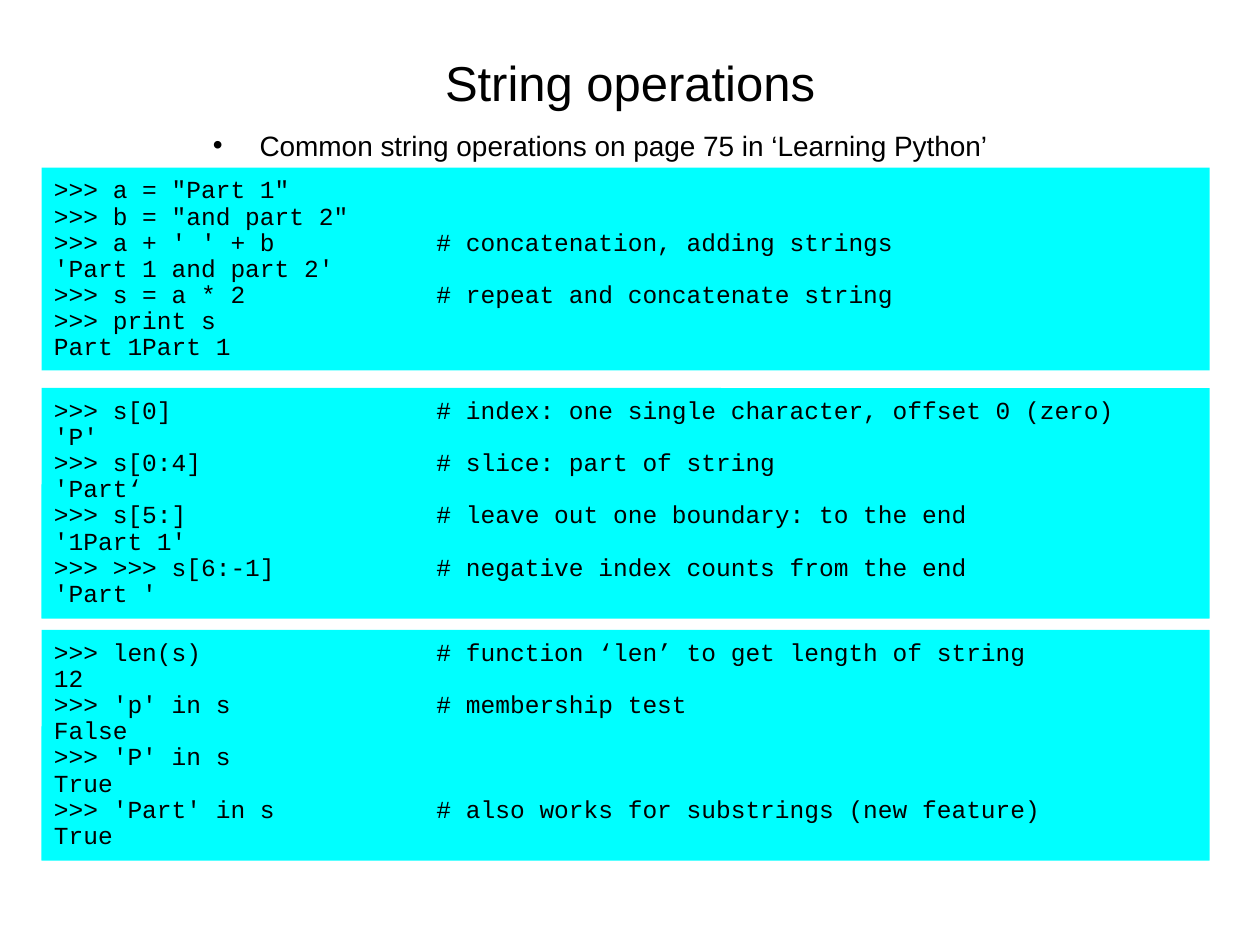
from pptx import Presentation
from pptx.dml.color import RGBColor
from pptx.enum.shapes import MSO_SHAPE as Shape
from pptx.enum.text import MSO_ANCHOR as Anchor, MSO_AUTO_SIZE as Fit, PP_ALIGN as Align
from pptx.util import Inches, Pt

JOIN = """>>> a = "Part 1"
>>> b = "and part 2"
>>> a + ' ' + b           # concatenation, adding strings
'Part 1 and part 2'
>>> s = a * 2             # repeat and concatenate string
>>> print s
Part 1Part 1"""

SLICE = """>>> s[0]                  # index: one single character, offset 0 (zero)
'P'
>>> s[0:4]                # slice: part of string
'Part‘
>>> s[5:]                 # leave out one boundary: to the end
'1Part 1'
>>> >>> s[6:-1]           # negative index counts from the end
'Part '"""

TEST = """>>> len(s)                # function ‘len’ to get length of string
12
>>> 'p' in s              # membership test
False
>>> 'P' in s
True
>>> 'Part' in s           # also works for substrings (new feature)
True"""


def color(code):
    return RGBColor.from_string(code)


class Deck:
    sans, mono = "Arial", "Courier New"
    ink, cyan = "000000", "00FFFF"

    def __init__(self):
        self.file = Presentation()
        self.file.slide_width, self.file.slide_height = Inches(10), Inches(7.5)
        self.slide = self.file.slides.add_slide(self.file.slide_layouts[1])

    def place(self, shape, left, top, width, height):
        shape.left, shape.top = Inches(left), Inches(top)
        shape.width, shape.height = Inches(width), Inches(height)

    def label(self, shape, text, font, size, line, align, side=0, top=0):
        frame = shape.text_frame
        frame.text = text
        frame.word_wrap = True
        frame.auto_size = Fit.NONE
        frame.vertical_anchor = Anchor.TOP
        frame.margin_left = frame.margin_right = Inches(side)
        frame.margin_top, frame.margin_bottom = Inches(top), 0
        for para in frame.paragraphs:
            para.alignment = align
            para.line_spacing = line
            para.space_before = Pt(0)
            for run in para.runs:
                run.font.name = font
                run.font.size = Pt(size)
                run.font.color.rgb = color(self.ink)

    def title(self, text):
        shape = self.slide.shapes.title
        self.place(shape, 0.75, 0.36, 8.5, 0.5)
        self.label(shape, text, self.sans, 28, 1.04, Align.CENTER, top=0.04)

    def bullet(self, text):
        shape = self.slide.placeholders[1]
        self.place(shape, 1.69, 0.99, 6.69, 0.39)
        self.label(shape, text, self.sans, 16, 1.04, Align.LEFT, top=0.02)
        props = shape.text_frame.paragraphs[0]._p.get_or_add_pPr()
        props.set("marL", str(Inches(0.37)))
        props.set("indent", str(-Inches(0.37)))

    def code(self, text, top, height):
        shape = self.slide.shapes.add_shape(
            Shape.ROUNDED_RECTANGLE, Inches(0.33), Inches(top), Inches(9.27), Inches(height))
        shape.adjustments[0] = 0.001
        shape.shadow.inherit = False
        shape.fill.solid()
        shape.fill.fore_color.rgb = color(self.cyan)
        shape.line.fill.background()
        self.label(shape, text, self.mono, 14, Pt(14.95), Align.LEFT, 0.1, 0.08)


def main():
    deck = Deck()
    deck.title("String operations")
    deck.bullet("Common string operations on page 75 in ‘Learning Python’")
    deck.code(JOIN, 1.33, 1.61)
    deck.code(SLICE, 3.08, 1.83)
    deck.code(TEST, 5, 1.83)
    deck.file.save("out.pptx")


if __name__ == "__main__":
    main()
